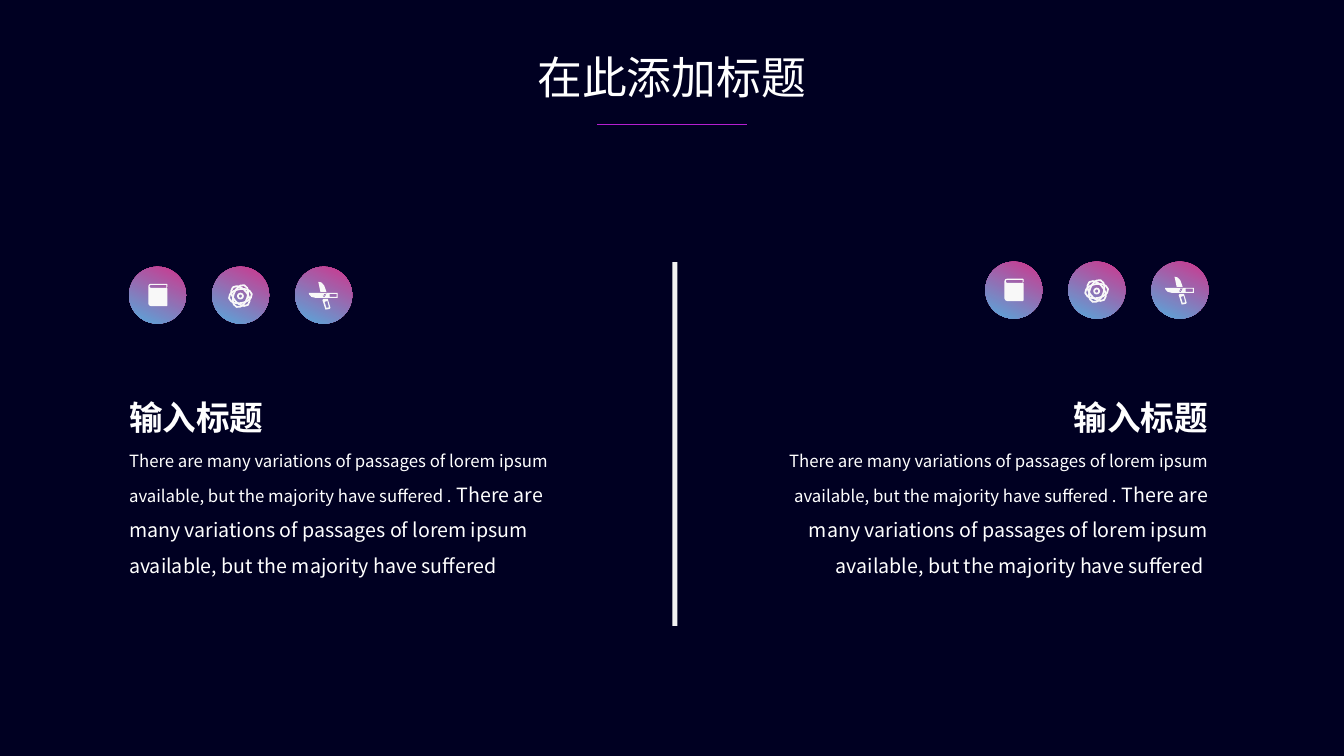
"""Builds a dark two-column text slide with a row of icons above each column."""
from lxml import etree
from pptx import Presentation
from pptx.dml.color import RGBColor
from pptx.enum.shapes import MSO_CONNECTOR, MSO_SHAPE
from pptx.enum.text import MSO_ANCHOR, MSO_AUTO_SIZE, PP_ALIGN
from pptx.oxml.ns import qn
from pptx.util import Pt

STRAIGHT = MSO_CONNECTOR.STRAIGHT
OVAL, RECT = MSO_SHAPE.OVAL, MSO_SHAPE.RECTANGLE
MIDDLE = MSO_ANCHOR.MIDDLE
GROW = MSO_AUTO_SIZE.SHAPE_TO_FIT_TEXT
LEFT, CENTER, RIGHT = PP_ALIGN.LEFT, PP_ALIGN.CENTER, PP_ALIGN.RIGHT

FONT = "Noto Sans CJK SC"
COLORS = {"background": "000022", "text": "FFFFFF", "underline": "B41FD0",
          "divider": "F2F2F2", "icon": "F8F8F8", "pink": "D0358C", "blue": "55AADC"}

DISC, PITCH = 40.7, 59.35
OUTLINE_UNIT = 0.1

BOOK = [
    [(269, 281), (155, 281), (143, 276), (137, 264), (137, 138), (143, 126),
     (155, 122), (269, 122), (274, 126), (274, 144), (266, 150), (266, 130),
     (155, 130), (148, 134), (146, 140), (148, 147), (155, 151), (269, 151),
     (274, 156), (274, 276)],
]
KNIFE = [
    [(230, 187), (97, 187), (99, 198), (115, 216), (144, 223), (187, 223),
     (202, 216), (194, 202), (209, 209), (202, 194), (216, 194)],
    [(180, 180), (166, 115), (166, 108), (187, 113), (207, 135), (223, 180)],
    [(302, 187), (230, 187), (216, 202), (223, 207), (209, 209), (214, 218),
     (202, 218), (187, 223), (302, 223)],
    [(245, 194), (295, 194), (295, 216), (245, 216)],
    [(216, 307), (194, 238), (202, 230), (232, 230), (252, 295), (245, 302)],
    [(223, 295), (241, 291), (230, 245), (209, 252)],
]
ATOM_CENTER = (20.2, 21)
ATOM_RINGS = [(16.5, 10, -10), (16.5, 10, 50), (16.5, 10, 110), (3.6, 3.6, 0)]

HEADING = "输入标题"
SMALL_TEXT = ("There are many variations of passages of lorem ipsum available, "
              "but the majority have suffered .")
LARGE_TEXT = (" There are many variations of passages of lorem ipsum available, "
              "but the majority have suffered")


class Deck:
    """Holds the style and the current slide."""

    def __init__(self, prs, layout):
        self.slide = prs.slides.add_slide(prs.slide_layouts[layout])
        self.shapes = self.slide.shapes
        fill = self.slide.background.fill
        fill.solid()
        fill.fore_color.rgb = self.rgb("background")

    def rgb(self, name):
        return RGBColor.from_string(COLORS[name])

    def place(self, sp, x, y, w, h):
        sp.left, sp.top, sp.width, sp.height = Pt(x), Pt(y), Pt(w), Pt(h)

    def run(self, p, text, size, bold=False):
        r = p.add_run()
        r.text = text
        r.font.size, r.font.bold, r.font.name = Pt(size), bold, FONT
        r.font.color.rgb = self.rgb("text")
        etree.SubElement(r.font._element, qn("a:ea"), typeface=FONT)

    def title(self, text, x, y, w, h):
        sp = self.shapes.title
        self.place(sp, x, y, w, h)
        tf = sp.text_frame
        tf.auto_size = GROW
        p = tf.paragraphs[0]
        p.alignment = CENTER
        self.run(p, text, 32)

    def column(self, index, x, y, w, h, align, paragraphs):
        sp = self.slide.placeholders[index]
        self.place(sp, x, y, w, h)
        tf = sp.text_frame
        tf.word_wrap, tf.auto_size, tf.vertical_anchor = True, GROW, MIDDLE
        tf.margin_left = tf.margin_top = tf.margin_right = tf.margin_bottom = 0
        for i, runs in enumerate(paragraphs):
            p = tf.add_paragraph() if i else tf.paragraphs[0]
            pPr = p._p.get_or_add_pPr()
            pPr.set("marL", "0")
            pPr.set("indent", "0")
            etree.SubElement(pPr, qn("a:buNone"))
            p.alignment, p.line_spacing = align, 1.5
            p.space_before = Pt(3 if i else 0)
            for text, size, bold in runs:
                self.run(p, text, size, bold)

    def line(self, x1, y1, x2, y2, color, width):
        cn = self.shapes.add_connector(STRAIGHT, Pt(x1), Pt(y1), Pt(x2), Pt(y2))
        cn.line.color.rgb, cn.line.width = self.rgb(color), Pt(width)
        etree.SubElement(cn._element.spPr, qn("a:effectLst"))

    def bar(self, x, y, w, h, color):
        sp = self.shapes.add_shape(RECT, Pt(x), Pt(y), Pt(w), Pt(h))
        self.paint(sp, color)

    def paint(self, sp, color):
        sp.shadow.inherit = False
        sp.fill.solid()
        sp.fill.fore_color.rgb = self.rgb(color)
        sp.line.fill.background()

    def disc(self, x, y):
        group = self.shapes.add_group_shape()
        sp = group.shapes.add_shape(OVAL, Pt(x), Pt(y), Pt(DISC), Pt(DISC))
        sp.shadow.inherit = False
        sp.line.fill.background()
        sp.fill.gradient()
        sp.fill.gradient_angle = 245
        for stop, color in zip(sp.fill.gradient_stops, ("pink", "blue")):
            stop.color.rgb = self.rgb(color)
        return group

    def outline_icon(self, x, y, contours):
        group = self.disc(x, y)
        first, *others = contours
        builder = group.shapes.build_freeform(*first[0], scale=Pt(OUTLINE_UNIT))
        builder.add_line_segments(first[1:])
        for contour in others:
            builder.move_to(*contour[0])
            builder.add_line_segments(contour[1:])
        self.paint(builder.convert_to_shape(Pt(x), Pt(y)), "icon")

    def atom_icon(self, x, y):
        group = self.disc(x, y)
        cx, cy = x + ATOM_CENTER[0], y + ATOM_CENTER[1]
        for w, h, angle in ATOM_RINGS:
            sp = group.shapes.add_shape(OVAL, Pt(cx - w / 2), Pt(cy - h / 2), Pt(w), Pt(h))
            sp.rotation = angle
            sp.shadow.inherit = False
            sp.fill.background()
            sp.line.color.rgb, sp.line.width = self.rgb("icon"), Pt(1.25)

    def icon_row(self, x, y):
        self.outline_icon(x, y, BOOK)
        self.atom_icon(x + PITCH, y)
        self.outline_icon(x + 2 * PITCH, y, KNIFE)


def main():
    prs = Presentation()
    prs.slide_width, prs.slide_height = Pt(960), Pt(540)
    deck = Deck(prs, 3)
    deck.title("在此添加标题", 324.7, 31.7, 310.3, 46)
    deck.line(426.7, 88.8, 533.3, 88.8, "underline", 0.5)
    for index, x, w, align, ending in ((1, 92.2, 300, LEFT, ""), (2, 553.4, 309.6, RIGHT, " ")):
        deck.column(index, x, 257, w, 167, align, [
            [(HEADING, 24, True)],
            [(SMALL_TEXT, 12, False), (LARGE_TEXT + ending, 14, False)],
        ])
    deck.bar(480.2, 187.2, 3.6, 260, "divider")
    deck.icon_row(92.2, 190.5)
    deck.icon_row(703.8, 186.9)
    prs.save("out.pptx")


if __name__ == "__main__":
    main()
